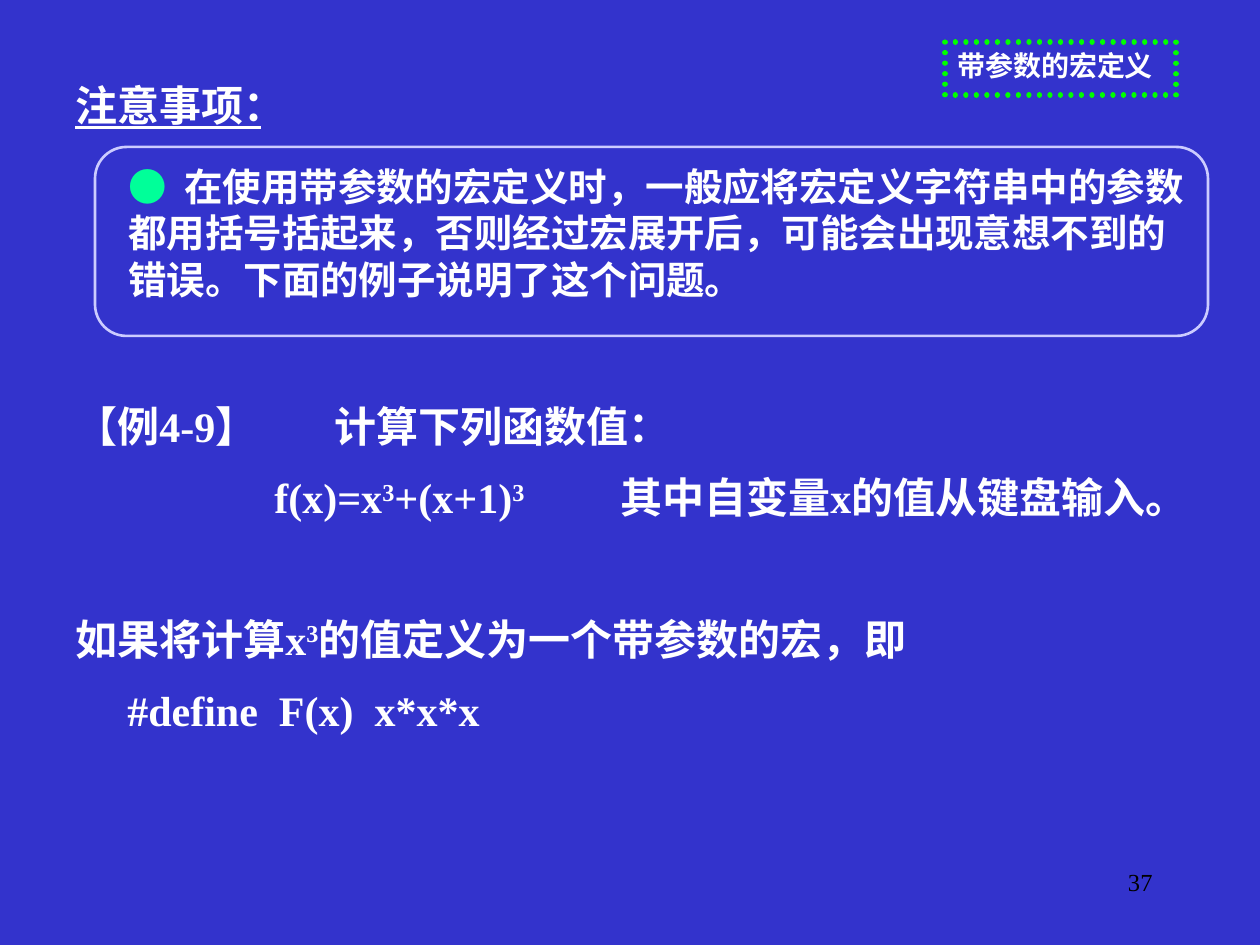
"""Build the slide on cautions for macros with parameters."""
from dataclasses import dataclass, field
from typing import Any

from pptx import Presentation
from pptx.dml.color import RGBColor
from pptx.enum.dml import MSO_LINE
from pptx.enum.shapes import MSO_SHAPE
from pptx.enum.text import MSO_ANCHOR, MSO_AUTO_SIZE, PP_ALIGN
from pptx.oxml.ns import qn
from pptx.util import Pt

SCALE = 914400 / 126
BLUE = RGBColor(0x33, 0x33, 0xCC)
WHITE = RGBColor(0xFF, 0xFF, 0xFF)
BLACK = RGBColor(0, 0, 0)
MINT = RGBColor(0x00, 0xFF, 0x99)
LIME = RGBColor(0x00, 0xFF, 0x00)
LILAC = RGBColor(0xCC, 0xCC, 0xFF)


@dataclass(frozen=True)
class Span:
    text: str
    color: RGBColor = WHITE
    bold: bool = True
    line: bool = False
    raised: bool = False


@dataclass(frozen=True)
class Para:
    spans: list[Span]
    tabs: tuple[int, ...] = ()
    before: int = 0
    align: PP_ALIGN = PP_ALIGN.LEFT


@dataclass(frozen=True)
class Block:
    place: tuple[int, int, int, int]
    size: int
    paras: list[Para] = field(default_factory=list)


@dataclass(frozen=True)
class Frame:
    place: tuple[int, int, int, int]
    kind: MSO_SHAPE
    color: RGBColor
    width: float
    dotted: bool = False


CUBE = Span("3", raised=True)
TITLE = Block((945, 42, 242, 46), 16, [Para([Span("带参数的宏定义")])])
SAMPLE = Block((63, 394, 1170, 369), 24, [
    Para([Span("【例4-9】\t计算下列函数值：")], (259,)),
    Para([Span("\tf(x)=x"), CUBE, Span("+(x+1)"), CUBE,
          Span("\t其中自变量x的值从键盘输入。")], (199, 545), 12),
    Para([Span("如果将计算x"), CUBE, Span("的值定义为一个带参数的宏，即")], (), 52),
    Para([Span("\t#define  F(x)  x*x*x")], (52,), 12),
])
ADVICE = Block((116, 157, 1092, 153), 22, [Para([
    Span("●\t", MINT, False),
    Span("在使用带参数的宏定义时，一般应将宏定义字符串中的参数都用括号括起来，"
         "否则经过宏展开后，可能会出现意想不到的 错误。下面的例子说明了这个问题。"),
], (56,))])
HEADING = Block((63, 73, 210, 63), 24, [Para([Span("注意事项：", line=True)])])
NUMBER = Block((903, 861, 262, 63), 14,
               [Para([Span("37", BLACK, False)], align=PP_ALIGN.RIGHT)])
BORDER = Frame((95, 147, 1113, 189), MSO_SHAPE.ROUNDED_RECTANGLE, LILAC, 1.5)
BADGE = Frame((945, 42, 231, 53), MSO_SHAPE.RECTANGLE, LIME, 3, True)


def emu(px: int) -> int:
    """Turn px into EMU."""
    return round(px * SCALE)


def apply(target: Any, values: dict[str, Any]) -> None:
    """Set each named attribute on the target."""
    for name, value in values.items():
        setattr(target, name, value)


def add_tabs(para: Any, stops: tuple[int, ...]) -> None:
    """Give a paragraph its tab stops."""
    if stops:
        group = para._p.get_or_add_pPr().makeelement(qn("a:tabLst"), {})
        for stop in stops:
            group.append(group.makeelement(
                qn("a:tab"), {"pos": str(emu(stop)), "algn": "l"}))
        para._p.get_or_add_pPr().append(group)


def add_span(para: Any, span: Span, size: int) -> None:
    """Add one formatted run."""
    run = para.add_run()
    run.text = span.text
    apply(run.font, {"name": "Times New Roman", "size": Pt(size),
                     "bold": span.bold, "underline": span.line})
    run.font.color.rgb = span.color
    if span.raised:
        run.font._element.set("baseline", "30000")


def fill_text(shape: Any, block: Block) -> None:
    """Place a text shape and write its paragraphs."""
    apply(shape, dict(zip(("left", "top", "width", "height"), map(emu, block.place))))
    frame = shape.text_frame
    apply(frame, {"word_wrap": True, "auto_size": MSO_AUTO_SIZE.NONE,
                  "vertical_anchor": MSO_ANCHOR.TOP})
    for index, item in enumerate(block.paras):
        para = frame.add_paragraph() if index else frame.paragraphs[0]
        add_tabs(para, item.tabs)
        apply(para, {"alignment": item.align, "space_before": Pt(item.before)})
        for span in item.spans:
            add_span(para, span, block.size)


def add_text(shapes: Any, block: Block) -> None:
    """Add a text box."""
    fill_text(shapes.add_textbox(*map(emu, block.place)), block)


def add_frame(shapes: Any, frame: Frame) -> None:
    """Add an unfilled outline."""
    shape = shapes.add_shape(frame.kind, *map(emu, frame.place))
    shape.shadow.inherit = False
    shape.fill.background()
    shape.line.color.rgb = frame.color
    shape.line.width = Pt(frame.width)
    if frame.dotted:
        shape.line.dash_style = MSO_LINE.ROUND_DOT
        shape._element.spPr.find(qn("a:ln")).set("cap", "rnd")


def main() -> None:
    """Build and save the slide."""
    deck = Presentation()
    apply(deck, {"slide_width": emu(1260), "slide_height": emu(945)})
    slide = deck.slides.add_slide(deck.slide_layouts[5])
    slide.background.fill.solid()
    slide.background.fill.fore_color.rgb = BLUE
    fill_text(slide.shapes.title, TITLE)
    add_text(slide.shapes, SAMPLE)
    group = slide.shapes.add_group_shape()
    add_text(group.shapes, ADVICE)
    add_frame(group.shapes, BORDER)
    add_frame(slide.shapes, BADGE)
    for block in (HEADING, NUMBER):
        add_text(slide.shapes, block)
    deck.save("out.pptx")


if __name__ == "__main__":
    main()
